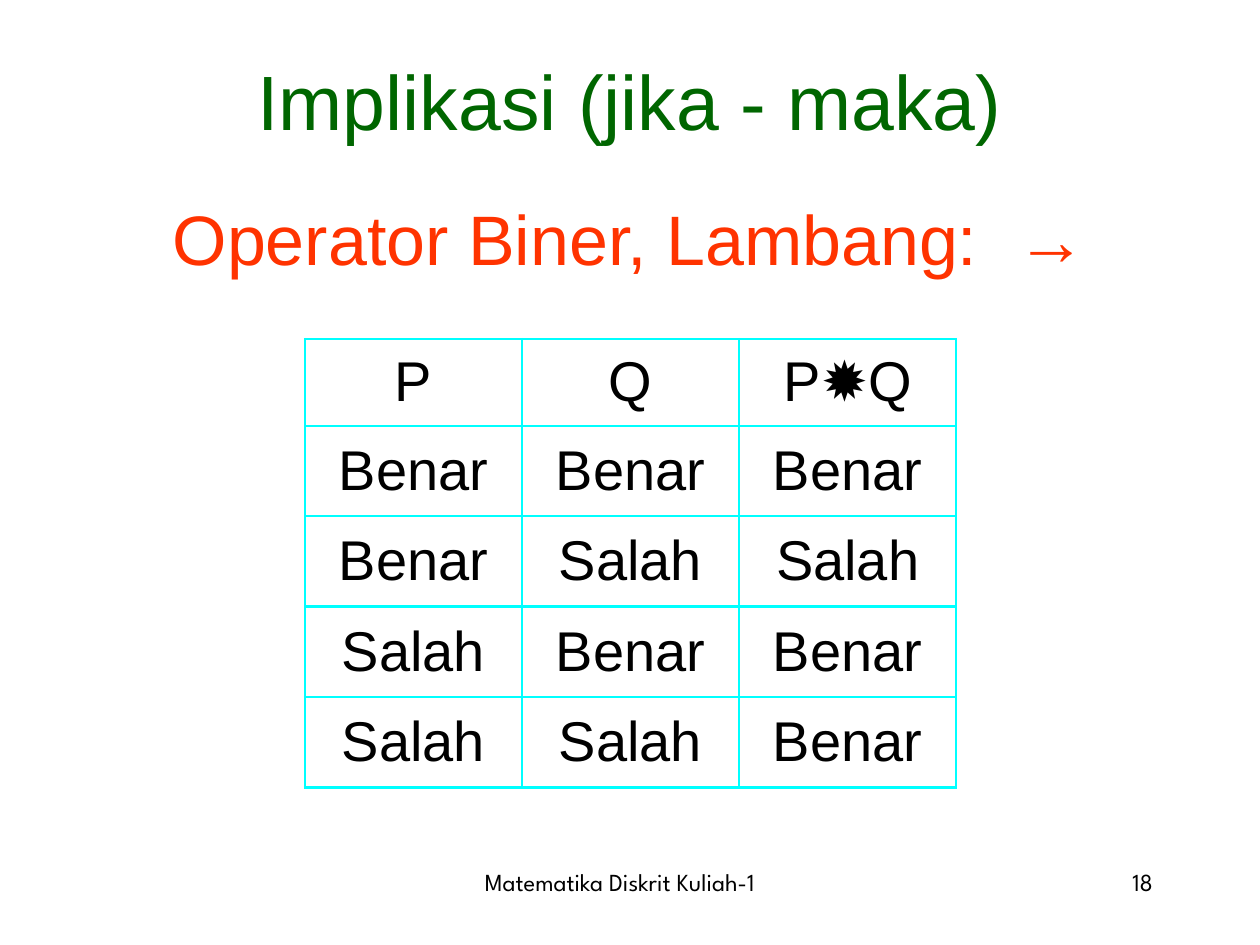
from lxml import etree
from pptx import Presentation
from pptx.dml.color import RGBColor
from pptx.enum.text import MSO_ANCHOR, PP_ALIGN
from pptx.oxml.ns import qn
from pptx.util import Inches, Pt

GREEN = RGBColor(0x00, 0x66, 0x00)
ORANGE = RGBColor(0xFF, 0x33, 0x00)
BLACK = RGBColor(0x00, 0x00, 0x00)
CYAN = RGBColor(0x00, 0xFF, 0xFF)
CENTER, RIGHT = PP_ALIGN.CENTER, PP_ALIGN.RIGHT
MIDDLE = MSO_ANCHOR.MIDDLE
TITLE_ONLY = 5
BORDER_WIDTH = Pt(1.5)

TRUTH_TABLE = [
    ["P", "Q", ["P", ("✹", {"bold": True}), "Q"]],
    ["Benar", "Benar", "Benar"],
    ["Benar", "Salah", "Salah"],
    ["Salah", "Benar", "Benar"],
    ["Salah", "Salah", "Benar"],
]


def write(frame, text, size, color, font="Arial", align=CENTER):
    """Fill a frame with a string, or with a list of strings and (string, format) pairs."""
    para = frame.paragraphs[0]
    para.alignment = align
    for part in [text] if isinstance(text, str) else text:
        words, extra = (part, {}) if isinstance(part, str) else part
        span = para.add_run()
        span.text = words
        span.font.name = font
        span.font.size = Pt(size)
        span.font.color.rgb = color
        span.font.bold = extra.get("bold", False)
        if "spacing" in extra:
            span._r.get_or_add_rPr().set("spc", str(extra["spacing"] * 100))


def add_borders(cell):
    properties = cell._tc.get_or_add_tcPr()
    for index, side in enumerate(("a:lnL", "a:lnR", "a:lnT", "a:lnB")):
        line = etree.Element(qn(side), w=str(BORDER_WIDTH))
        fill = etree.SubElement(line, qn("a:solidFill"))
        etree.SubElement(fill, qn("a:srgbClr"), val=str(CYAN))
        properties.insert(index, line)


class SlideBuilder:
    """Places elements by left, top, width and height in inches."""

    def __init__(self, deck):
        self.slide = deck.slides.add_slide(deck.slide_layouts[TITLE_ONLY])

    def title(self, text, area):
        title = self.slide.shapes.title
        title.left, title.top, title.width, title.height = map(Inches, area)
        title.text_frame.vertical_anchor = MIDDLE
        write(title.text_frame, text, 44, GREEN)

    def text(self, text, area, **style):
        box = self.slide.shapes.add_textbox(*map(Inches, area))
        box.text_frame.word_wrap = True
        write(box.text_frame, text, **style)

    def table(self, rows, area, header_height):
        left, top, width, height = map(Inches, area)
        table = self.slide.shapes.add_table(
            len(rows), len(rows[0]), left, top, width, height).table
        table.first_row = table.horz_banding = False
        for column in table.columns:
            column.width = width // len(rows[0])
        header = Inches(header_height)
        for index, row in enumerate(table.rows):
            row.height = (height - header) // (len(rows) - 1) if index else header
            for cell, text in zip(row.cells, rows[index]):
                cell.fill.background()
                cell.vertical_anchor = MIDDLE
                add_borders(cell)
                write(cell.text_frame, text, 32, BLACK)


def main():
    deck = Presentation()
    deck.slide_width, deck.slide_height = Inches(10), Inches(7.5)
    page = SlideBuilder(deck)
    footer = {"size": 14, "color": BLACK, "font": "League Spartan"}
    page.text("Matematika Diskrit Kuliah-1", (2.67, 6.83, 4.5, 0.5), **footer)
    page.text("18", (7.17, 6.83, 2.08, 0.5), align=RIGHT, **footer)
    page.title("Implikasi (jika - maka)", (0.75, 0.42, 8.5, 0.75))
    page.text(["Operator Biner, Lambang:", (" ", {"spacing": 11}), ("→", {"bold": True})],
              (0.58, 1.5, 8.83, 0.92), size=40, color=ORANGE)
    page.table(TRUTH_TABLE, (2.42, 2.69, 5.17, 3.56), header_height=0.69)
    deck.save("out.pptx")


if __name__ == "__main__":
    main()
